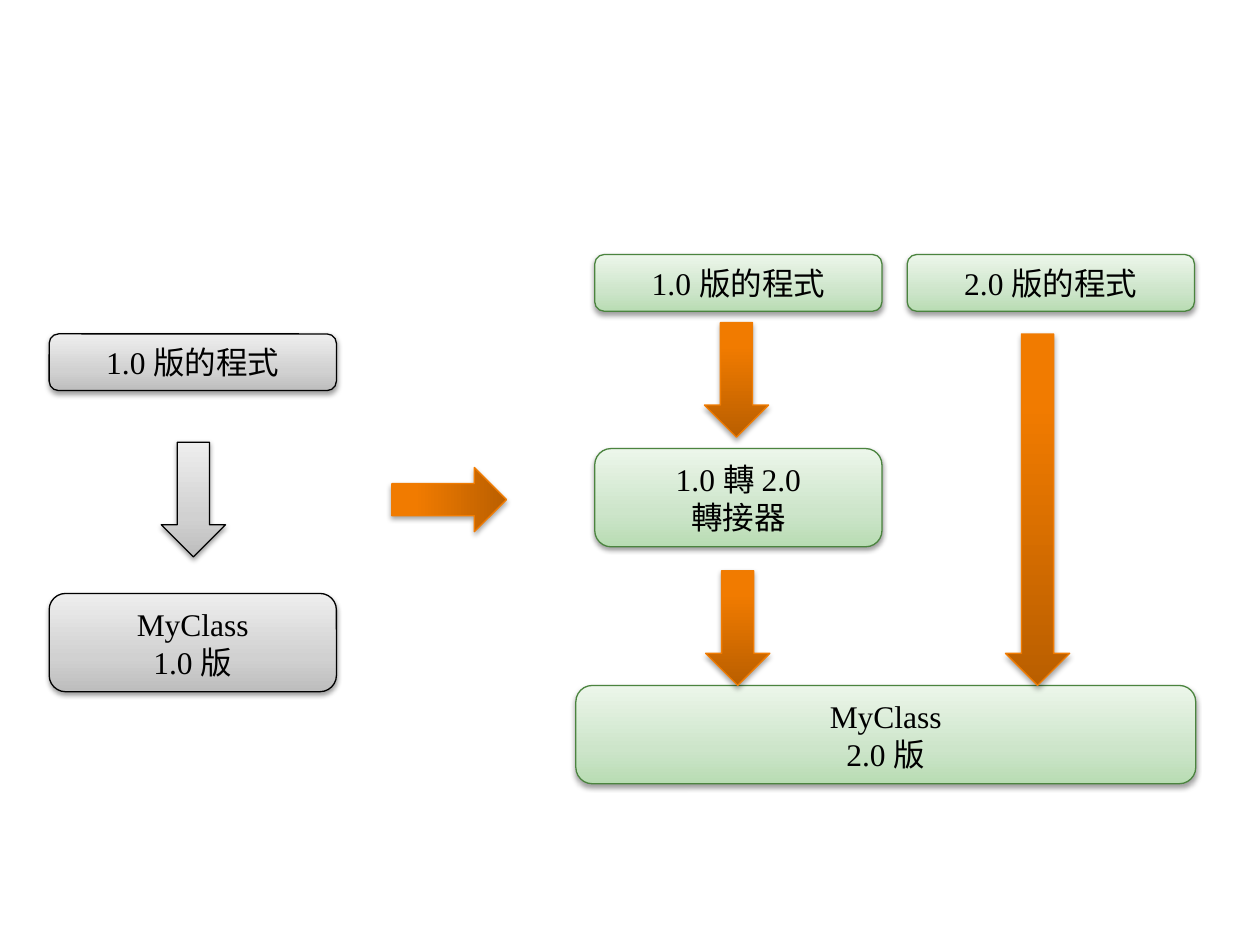
from pptx import Presentation
from pptx.dml.color import RGBColor
from pptx.enum.shapes import MSO_SHAPE
from pptx.enum.text import MSO_ANCHOR, MSO_AUTO_SIZE, PP_ALIGN
from pptx.oxml import parse_xml
from pptx.oxml.ns import nsdecls, qn
from pptx.util import Inches, Pt

BOX, ARROW = MSO_SHAPE.ROUNDED_RECTANGLE, MSO_SHAPE.DOWN_ARROW
MIDDLE, CENTER = MSO_ANCHOR.MIDDLE, PP_ALIGN.CENTER
FIT_TEXT = MSO_AUTO_SIZE.SHAPE_TO_FIT_TEXT

# Theme: gradient stops run from bottom to top, shadow is (opacity %, distance pt)
THEME = {
    "font": "Times New Roman", "size": Pt(18), "text": "000000", "line_width": Pt(0.75),
    "old": {"stops": [(0, "BDBDBD"), (35, "D1D1D1"), (100, "EEEEEE")],
            "line": "000000", "shadow": (38, 1.6)},
    "new": {"stops": [(0, "B8DCB3"), (35, "CDE5CA"), (100, "ECF6EA")],
            "line": "4B843F", "shadow": (38, 1.6)},
    "flow": {"stops": [(0, "BA5F00"), (80, "F17B00"), (100, "F27C00")],
             "line": "F07C03", "shadow": (35, 1.8)},
}

prs = Presentation()
prs.slide_width, prs.slide_height = Inches(10), Inches(7.5)
slide = prs.slides.add_slide(prs.slide_layouts[6])


def add_styled(kind, left, top, width, height, style_name):
    style = THEME[style_name]
    shape = slide.shapes.add_shape(
        kind, Inches(left), Inches(top), Inches(width), Inches(height))
    shape.line.color.rgb = RGBColor.from_string(style["line"])
    shape.line.width = THEME["line_width"]
    shape.shadow.inherit = False

    # Three-stop gradient and soft shadow
    stops = "".join(
        f'<a:gs pos="{pos * 1000}"><a:srgbClr val="{color}"/></a:gs>'
        for pos, color in style["stops"])
    properties = shape.element.spPr
    properties.find(qn("a:prstGeom")).addnext(parse_xml(
        f'<a:gradFill {nsdecls("a")} rotWithShape="1"><a:gsLst>{stops}</a:gsLst>'
        '<a:lin ang="16200000" scaled="0"/></a:gradFill>'))
    opacity, distance = style["shadow"]
    properties.find(qn("a:effectLst")).append(parse_xml(
        f'<a:outerShdw {nsdecls("a")} blurRad="{Pt(3.1)}" dist="{Pt(distance)}" '
        'dir="5400000" rotWithShape="0"><a:srgbClr val="000000">'
        f'<a:alpha val="{opacity * 1000}"/></a:srgbClr></a:outerShdw>'))
    return shape


# Layout
OLD_LEFT, NEW_LEFT, SECOND_LEFT = 0.39, 4.72, 7.2
BOX_WIDTH, ONE_LINE, TWO_LINES = 2.28, 0.45, 0.78
ARROW_WIDTH, ARROW_LENGTH = 0.51, 0.91

# Programs, adapter and classes
boxes = [
    ("1.0 版的程式", OLD_LEFT, 2.65, BOX_WIDTH, "old"),
    ("MyClass\n1.0 版", OLD_LEFT, 4.71, BOX_WIDTH, "old"),
    ("1.0 版的程式", NEW_LEFT, 2.02, BOX_WIDTH, "new"),
    ("2.0 版的程式", SECOND_LEFT, 2.02, BOX_WIDTH, "new"),
    ("1.0 轉 2.0\n轉接器", NEW_LEFT, 3.56, BOX_WIDTH, "new"),
    ("MyClass\n2.0 版", 4.57, 5.44, 4.92, "new"),
]
for label, left, top, width, style_name in boxes:
    height = TWO_LINES if "\n" in label else ONE_LINE
    box = add_styled(BOX, left, top, width, height, style_name)
    frame = box.text_frame
    frame.text = label
    frame.vertical_anchor = MIDDLE
    frame.auto_size = FIT_TEXT
    for paragraph in frame.paragraphs:
        paragraph.alignment = CENTER
        for run in paragraph.runs:
            run.font.name = THEME["font"]
            run.font.size = THEME["size"]
            run.font.color.rgb = RGBColor.from_string(THEME["text"])

# Calls between the parts, and the step from the old to the new design
arrows = [
    (1.28, 3.51, ARROW_LENGTH, 0, "old"),
    (3.31, 3.51, ARROW_LENGTH, 270, "flow"),
    (5.59, 2.56, ARROW_LENGTH, 0, "flow"),
    (5.6, 4.53, ARROW_LENGTH, 0, "flow"),
    (7.98, 2.65, 2.79, 0, "flow"),
]
for left, top, length, rotation, style_name in arrows:
    arrow = add_styled(ARROW, left, top, ARROW_WIDTH, length, style_name)
    arrow.rotation = rotation

prs.save("out.pptx")
